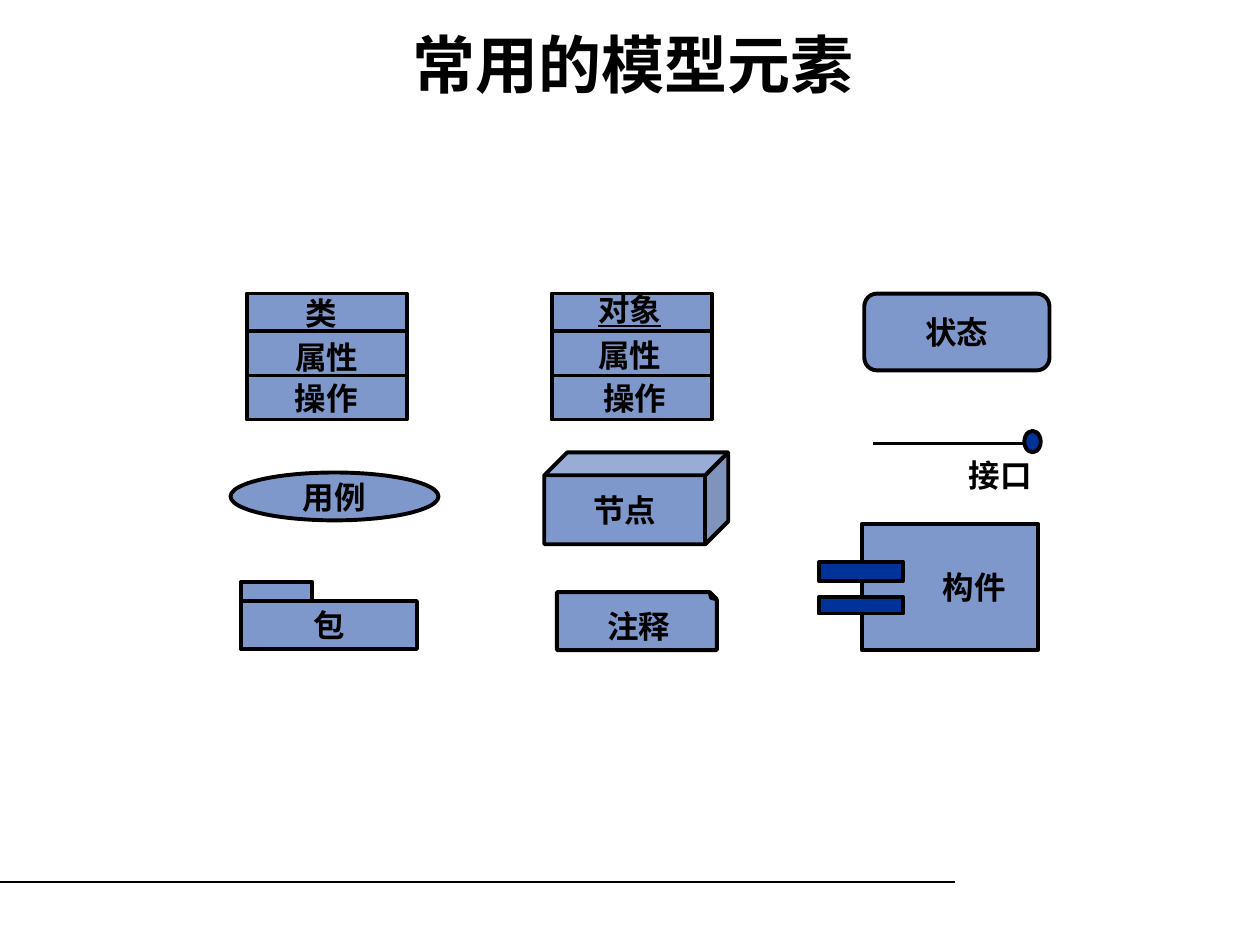
from dataclasses import dataclass

from lxml.etree import SubElement
from pptx import Presentation
from pptx.dml.color import RGBColor as RGB
from pptx.enum.shapes import MSO_CONNECTOR as Link, MSO_SHAPE as Kind
from pptx.enum.text import MSO_ANCHOR as Anchor, MSO_AUTO_SIZE as Fit, PP_ALIGN as Align
from pptx.oxml.ns import qn
from pptx.util import Inches, Pt


@dataclass(frozen=True)
class Theme:
    ink: RGB = RGB(0, 0, 0)
    navy: RGB = RGB(0x00, 0x33, 0x99)
    face: str = "Times New Roman"
    han: str = "Noto Sans CJK SC"
    head: Pt = Pt(36)
    body: Pt = Pt(18)
    edge: Pt = Pt(2.25)
    thin: Pt = Pt(0.75)


look = Theme()
deck = Presentation()
deck.slide_width, deck.slide_height = Inches(10), Inches(7.5)
slide = deck.slides.add_slide(deck.slide_layouts[5])
shapes = slide.shapes


def write(frame, text, size=look.body, face=look.face, align=Align.CENTER, under=None):
    """Put one bold run into a text frame, with a font for Chinese."""
    frame.auto_size = Fit.NONE
    frame.word_wrap = False
    frame.vertical_anchor = Anchor.MIDDLE
    para = frame.paragraphs[0]
    para.alignment = align
    run = para.add_run()
    run.text = text
    font = run.font
    font.name, font.size, font.bold, font.underline = face, size, True, under
    font.color.rgb = look.ink
    SubElement(font._element, qn("a:ea"), typeface=look.han)


def rule(x1, y1, x2, y2, width=look.edge):
    """Draw a plain straight line."""
    line = shapes.add_connector(Link.STRAIGHT, *map(Inches, (x1, y1, x2, y2)))
    line.line.color.rgb = look.ink
    line.line.width = width
    SubElement(line._element.spPr, qn("a:effectLst"))


# Title and footer line
title = shapes.title
title.left, title.top, title.width, title.height = map(Inches, (0.5, 0.25, 9.05, 0.5))
write(title.text_frame, "常用的模型元素", look.head, look.han)
rule(0, 7, 7.58, 7, look.thin)

# Symbols: kind, box, label, solid fill
symbols = [
    (Kind.OVAL, (1.83, 3.75, 1.65, 0.38), "用例", False),
    (Kind.RECTANGLE, (1.91, 4.77, 1.4, 0.38), "包", False),
    (Kind.RECTANGLE, (1.91, 4.62, 0.57, 0.15), "", False),
    (Kind.CUBE, (4.32, 3.59, 1.46, 0.73), "节点", False),
    (Kind.ROUNDED_RECTANGLE, (6.86, 2.33, 1.47, 0.61), "状态", False),
    (Kind.RECTANGLE, (6.84, 4.16, 1.4, 1), "构件", False),
    (Kind.RECTANGLE, (6.5, 4.46, 0.67, 0.15), "", True),
    (Kind.RECTANGLE, (6.5, 4.74, 0.67, 0.13), "", True),
    (Kind.RECTANGLE, (1.96, 2.33, 1.27, 1), "属性", False),
    (Kind.RECTANGLE, (4.38, 2.33, 1.27, 1), "", False),
    (Kind.OVAL, (8.13, 3.42, 0.13, 0.17), "", True),
    (Kind.FOLDED_CORNER, (4.42, 4.7, 1.27, 0.46), "", False),
]
rule(6.93, 3.52, 8.14, 3.52)
for kind, box, label, solid in symbols:
    shape = shapes.add_shape(kind, *map(Inches, box))
    shape.shadow.inherit = False
    shape.fill.solid()
    shape.fill.fore_color.rgb = look.navy
    shape.line.color.rgb = look.ink
    shape.line.width = look.edge
    props = shape._element.spPr
    if not solid:
        color = props.find(qn("a:solidFill")).find(qn("a:srgbClr"))
        SubElement(color, qn("a:alpha"), val="50000")
    if kind == Kind.FOLDED_CORNER:
        fold = props.find(qn("a:prstGeom")).find(qn("a:avLst"))
        SubElement(fold, qn("a:gd"), name="adj", fmla="val 12500")
        props.find(qn("a:xfrm")).set("flipV", "1")
    if label:
        write(shape.text_frame, label)
    if label == "构件":
        # Clear the two tabs on the left
        shape.text_frame.margin_left = Inches(0.48)

# Dividers of the class and object boxes
for x in (1.96, 4.38):
    for y in (2.63, 2.98):
        rule(x, y, x + 1.27, y)

# Free labels: left, top, width, text
labels = [
    (2.33, 2.28, 0.45, "类"),
    (2.24, 2.96, 0.7, "操作"),
    (4.65, 2.25, 0.7, "对象"),
    (4.65, 2.62, 0.7, "属性"),
    (4.69, 2.96, 0.7, "操作"),
    (7.59, 3.57, 0.7, "接口"),
    (4.72, 4.77, 0.75, "注释"),
]
for x, y, wide, text in labels:
    box = shapes.add_textbox(*map(Inches, (x, y, wide, 0.4)))
    write(box.text_frame, text, align=Align.LEFT, under=text == "对象" or None)

deck.save("out.pptx")
